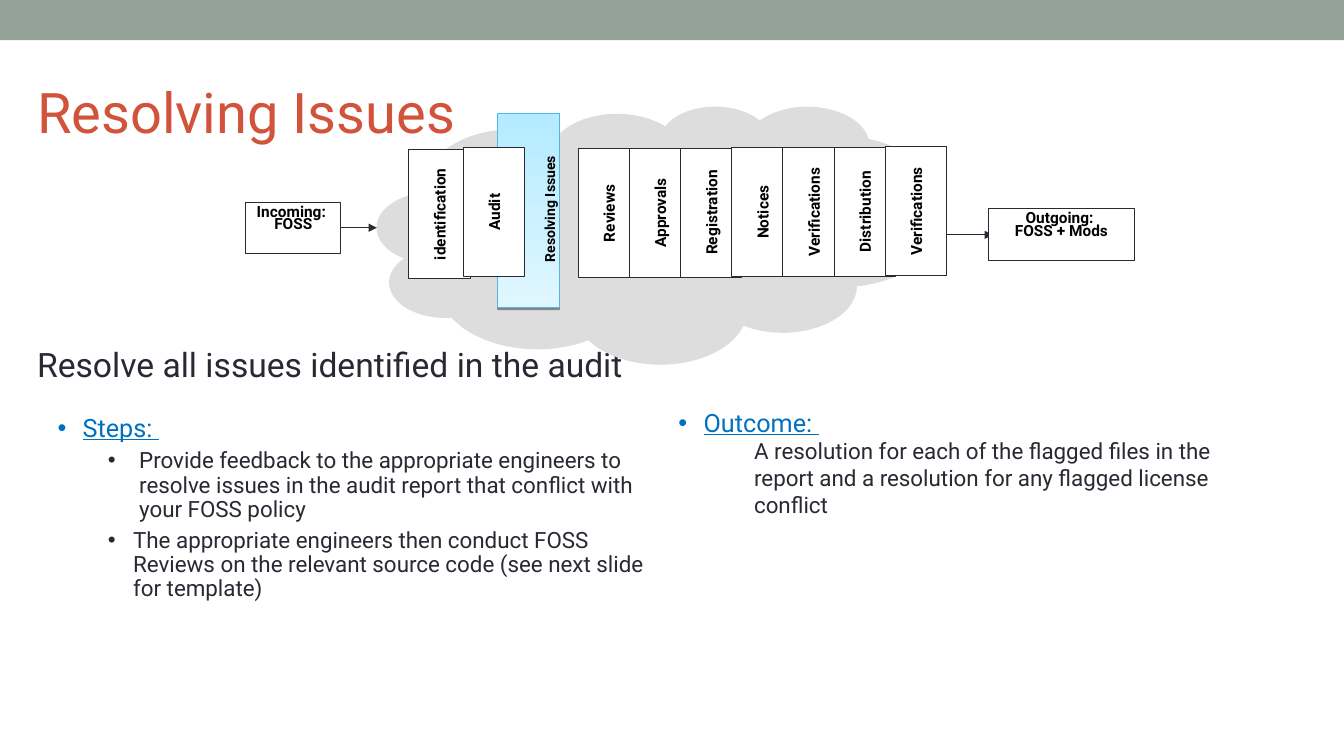
from dataclasses import dataclass
from typing import Optional

from lxml import etree
from pptx import Presentation
from pptx import util as u
from pptx.dml.color import RGBColor
from pptx.enum import shapes, text
from pptx.oxml import ns

WHITE = RGBColor(0xFF, 0xFF, 0xFF)
BLACK = RGBColor(0, 0, 0)
INK = RGBColor(0x29, 0x29, 0x34)
SAGE = RGBColor(0x93, 0xA2, 0x99)
RUST = RGBColor(0xD2, 0x53, 0x3C)
BLUE = RGBColor(0x00, 0x70, 0xC0)
CLOUD_GREY = RGBColor(0xDD, 0xDD, 0xDD)
SKY = RGBColor(0xB4, 0xEB, 0xFF)
PALE_SKY = RGBColor(0xE0, 0xF7, 0xFF)
SKY_EDGE = RGBColor(0x55, 0xB4, 0xE5)
FONT = "Roboto"
SLIDE_WIDTH = u.Inches(13.33)
SLIDE_HEIGHT = u.Inches(7.5)


def across(percent: float) -> int:
    return round(SLIDE_WIDTH * percent / 100)


def down(percent: float) -> int:
    return round(SLIDE_HEIGHT * percent / 100)


@dataclass(frozen=True)
class Area:
    left: float
    top: float
    width: float
    height: float

    def emu(self) -> tuple[int, int, int, int]:
        return across(self.left), down(self.top), across(self.width), down(self.height)


@dataclass(frozen=True)
class Line:
    wording: str
    size: float
    color: RGBColor = INK
    bold: bool = False
    underline: bool = False
    align: text.PP_ALIGN = text.PP_ALIGN.LEFT
    spacing: float = 1.0
    before: float = 0
    level: int = 0
    margin: float = 0
    indent: float = 0
    bullet: Optional[RGBColor] = None


@dataclass(frozen=True)
class Stage:
    name: str
    left: float
    top: float


def add_child(parent, tag: str, **attributes: str):
    return etree.SubElement(parent, ns.qn(tag), attributes)


def write(shape, lines: list[Line], anchor=text.MSO_ANCHOR.TOP) -> None:
    frame = shape.text_frame
    frame.word_wrap = True
    frame.auto_size = text.MSO_AUTO_SIZE.NONE
    frame.vertical_anchor = anchor
    for number, line in enumerate(lines):
        paragraph = frame.add_paragraph() if number else frame.paragraphs[0]
        paragraph.text = line.wording
        paragraph.level = line.level
        paragraph.alignment = line.align
        paragraph.line_spacing = line.spacing
        paragraph.space_before = u.Pt(line.before)
        properties = paragraph._p.get_or_add_pPr()
        properties.set("marL", str(u.Inches(line.margin)))
        properties.set("indent", str(u.Inches(line.indent)))
        if line.bullet is None:
            add_child(properties, "a:buNone")
        else:
            tint = add_child(properties, "a:buClr")
            add_child(tint, "a:srgbClr", val=str(line.bullet))
            add_child(properties, "a:buFont", typeface="Arial")
            add_child(properties, "a:buChar", char="•")
        font = paragraph.font
        font.name = FONT
        font.size = u.Pt(line.size)
        font.bold = line.bold
        font.underline = line.underline
        font.color.rgb = line.color


def fill_placeholder(holder, area: Area, lines: list[Line], anchor=text.MSO_ANCHOR.TOP) -> None:
    holder.left, holder.top, holder.width, holder.height = area.emu()
    write(holder, lines, anchor)


def draw(slide, area: Area, fill: RGBColor, edge: Optional[RGBColor] = None,
         kind=shapes.MSO_SHAPE.RECTANGLE):
    shape = slide.shapes.add_shape(kind, *area.emu())
    shape.shadow.inherit = False
    shape.fill.solid()
    shape.fill.fore_color.rgb = fill
    if edge is None:
        shape.line.fill.background()
    else:
        shape.line.color.rgb = edge
        shape.line.width = u.Pt(0.75)
    return shape


def draw_arrow(slide, start: float, end: float, row: float) -> None:
    arrow = slide.shapes.add_connector(
        shapes.MSO_CONNECTOR.STRAIGHT, across(start), down(row), across(end), down(row))
    arrow.line.color.rgb = INK
    arrow.line.width = u.Pt(0.75)
    add_child(arrow.line._get_or_add_ln(), "a:tailEnd", type="triangle", w="med", len="med")
    add_child(arrow._element.spPr, "a:effectLst")


def label(wording: str, size: float = 11, spacing: float = 1.0) -> Line:
    return Line(wording, size, BLACK, bold=True, align=text.PP_ALIGN.CENTER, spacing=spacing)


def draw_stage(slide, stage: Stage) -> None:
    card = draw(slide, Area(stage.left, stage.top, 9.6, 8.13), WHITE, INK)
    card.rotation = 270
    write(card, [label(stage.name)], text.MSO_ANCHOR.MIDDLE)


def draw_endpoint(slide, area: Area, wordings: list[str], spacing: float) -> None:
    write(draw(slide, area, WHITE, INK), [label(w, spacing=spacing) for w in wordings])


def draw_current_stage(slide) -> None:
    panel = draw(slide, Area(37.05, 15.07, 4.58, 25.6), SKY, SKY_EDGE)
    panel.fill.gradient()
    panel.fill.gradient_angle = 270
    for stop, color, position in zip(panel.fill.gradient_stops, (SKY, PALE_SKY), (0, 1)):
        stop.color.rgb = color
        stop.position = position
    effects = panel._element.spPr.find(ns.qn("a:effectLst"))
    shadow = add_child(effects, "a:outerShdw", blurRad="0", dist=str(u.Pt(1.6)),
                       dir="5400000", rotWithShape="0")
    tint = add_child(shadow, "a:srgbClr", val=str(BLACK))
    add_child(tint, "a:alpha", val="38000")
    caption = slide.shapes.add_textbox(*Area(33.68, 23.6, 14.4, 8.13).emu())
    caption.rotation = 270
    write(caption, [label("Resolving Issues", 10)], text.MSO_ANCHOR.MIDDLE)


def heading(wording: str) -> Line:
    return Line(wording, 18, BLUE, underline=True, spacing=0.9,
                margin=0.25, indent=-0.25, bullet=BLUE)


def step(wording: str, margin: float, indent: float) -> Line:
    return Line(wording, 16, spacing=0.9, before=5, level=1,
                margin=margin, indent=indent, bullet=INK)


STEPS = [
    heading("Steps: "),
    step("Provide feedback to the appropriate engineers to resolve issues in the audit "
         "report that conflict with your FOSS policy", 0.81, -0.31),
    step("The appropriate engineers then conduct FOSS Reviews on the relevant source code "
         "(see next slide for template)", 0.75, -0.25),
]
OUTCOME = [
    heading("Outcome: "),
    Line("A resolution for each of the flagged files in the report and a resolution for "
         "any flagged license conflict", 16, margin=0.75),
]
LATER_STAGES = ["Reviews", "Approvals", "Registration", "Notices", "Verifications",
                "Distribution", "Verifications"]
STAGES = [Stage("identification", 27.9, 24.27), Stage("Audit", 31.95, 24)] + [
    Stage(name, 40.5 + 3.81 * place, 24.13 - 0.04 * place)
    for place, name in enumerate(LATER_STAGES)]


def main() -> None:
    deck = Presentation()
    deck.slide_width, deck.slide_height = SLIDE_WIDTH, SLIDE_HEIGHT
    slide = deck.slides.add_slide(deck.slide_layouts[3])
    title, steps, outcome = slide.placeholders
    fill_placeholder(title, Area(2.03, 7.47, 90, 14.4),
                     [Line("Resolving Issues", 40, RUST)], text.MSO_ANCHOR.MIDDLE)
    fill_placeholder(steps, Area(3.53, 54.27, 45.38, 38.13), STEPS)
    fill_placeholder(outcome, Area(49.73, 53.6, 45.15, 33.6), OUTCOME)
    draw(slide, Area(0, 0, 100, 5.33), SAGE)
    summary = slide.shapes.add_textbox(*Area(2.03, 44.8, 59.4, 6.67).emu())
    write(summary, [Line("Resolve all issues identified in the audit", 24)])
    cloud = draw(slide, Area(28.05, 14, 41.25, 34.13), CLOUD_GREY,
                 kind=shapes.MSO_SHAPE.CLOUD_CALLOUT)
    cloud.adjustments[0], cloud.adjustments[1] = -0.25, 0.16
    draw_arrow(slide, 69.3, 73.88, 31.07)
    draw_current_stage(slide)
    for stage in STAGES:
        draw_stage(slide, stage)
    draw_endpoint(slide, Area(18.3, 26.8, 7.05, 6.8), ["Incoming: ", "FOSS"], 0.65)
    draw_arrow(slide, 25.35, 28.05, 30.13)
    draw_endpoint(slide, Area(73.58, 27.6, 10.8, 6.8), ["Outgoing: ", "FOSS + Mods"], 0.7)
    deck.save("out.pptx")


if __name__ == "__main__":
    main()
